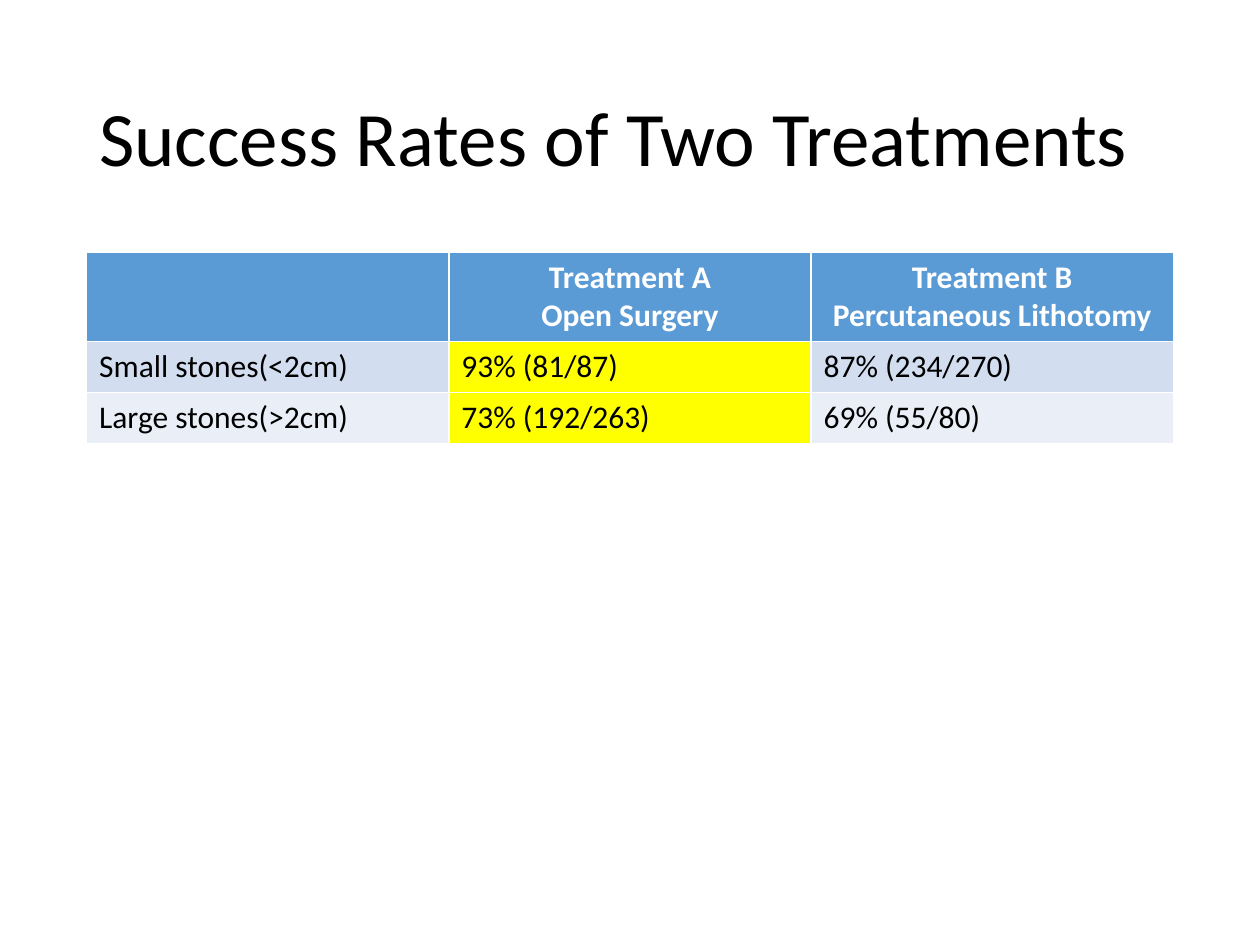
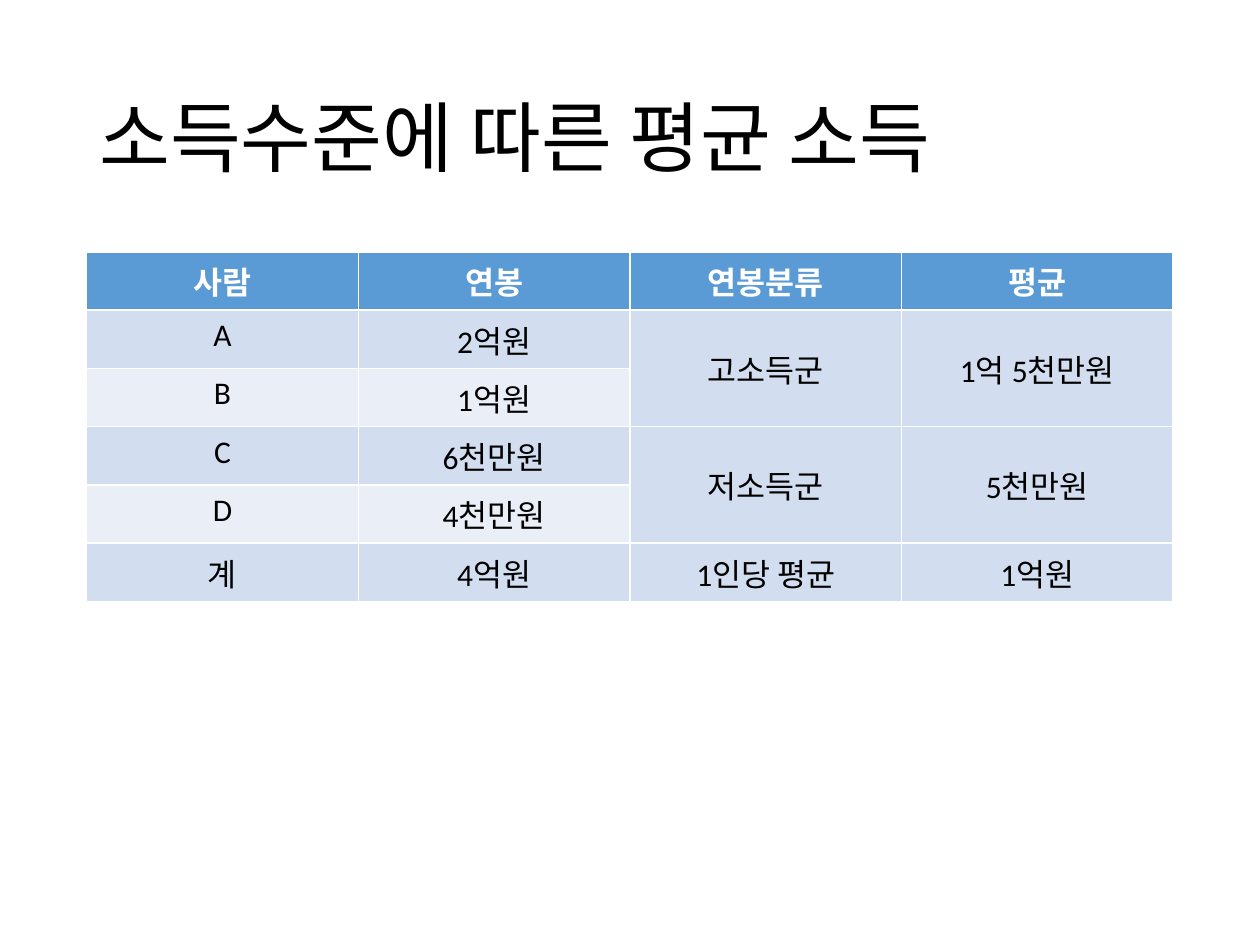
import pptx
import pptx.dml.color
import pptx.enum.text
import pptx.util

Pt = pptx.util.Pt
RGBColor = pptx.dml.color.RGBColor
PP_ALIGN = pptx.enum.text.PP_ALIGN
MSO_ANCHOR = pptx.enum.text.MSO_ANCHOR

# Shared style
FONT = "Calibri"
BLACK = RGBColor(0x00, 0x00, 0x00)
WHITE = RGBColor(0xFF, 0xFF, 0xFF)
HEADER = RGBColor(0x5B, 0x9B, 0xD5)
BAND_DARK = RGBColor(0xD2, 0xDE, 0xEF)
BAND_LIGHT = RGBColor(0xEA, 0xEF, 0xF7)
HIGHLIGHT = RGBColor(0xFF, 0xFF, 0x00)
LEFT, WIDTH = 49.5, 621
TITLE_TOP, TITLE_HEIGHT = 28.75, 104.4
TABLE_TOP, ROW_HEIGHT = 144, 29.2


class Deck:
    def __init__(self):
        self.prs = pptx.Presentation()
        self.prs.slide_width, self.prs.slide_height = Pt(720), Pt(540)
        self.s = None

    def add_text(self, p, text, size, color, bold=False):
        r = p.add_run()
        r.text = text
        r.font.name = FONT
        r.font.size = Pt(size)
        r.font.bold = bold
        r.font.color.rgb = color

    def slide(self, title):
        self.s = self.prs.slides.add_slide(self.prs.slide_layouts[5])
        sp = self.s.shapes.title
        sp.left, sp.top = Pt(LEFT), Pt(TITLE_TOP)
        sp.width, sp.height = Pt(WIDTH), Pt(TITLE_HEIGHT)
        tf = sp.text_frame
        tf.word_wrap = True
        tf.auto_size = pptx.enum.text.MSO_AUTO_SIZE.NONE
        tf.vertical_anchor = MSO_ANCHOR.MIDDLE
        p = tf.paragraphs[0]
        p.alignment = PP_ALIGN.LEFT
        p.line_spacing = 0.9
        self.add_text(p, title, 44, BLACK)

    def table(self, rows, align, highlight=(), middle=()):
        """Fill a table; None joins a cell to the one above it."""
        n_rows, n_cols = len(rows), len(rows[0])
        table = self.s.shapes.add_table(
            n_rows, n_cols, Pt(LEFT), Pt(TABLE_TOP),
            Pt(WIDTH), Pt(n_rows * ROW_HEIGHT)).table
        for i, row in enumerate(rows):
            band = BAND_DARK if i % 2 else BAND_LIGHT
            for j, text in enumerate(row):
                cell = table.cell(i, j)
                if text is None:
                    table.cell(i - 1, j).merge(cell)
                    continue
                cell.fill.solid()
                if i == 0:
                    cell.fill.fore_color.rgb = HEADER
                else:
                    cell.fill.fore_color.rgb = HIGHLIGHT if j in highlight else band
                    if j in middle:
                        cell.vertical_anchor = MSO_ANCHOR.MIDDLE
                self.cell_text(cell, text, PP_ALIGN.CENTER if i == 0 else align, i == 0)

    def cell_text(self, cell, text, align, header):
        tf = cell.text_frame
        for k, line in enumerate(text.split("\n") if text else []):
            p = tf.add_paragraph() if k else tf.paragraphs[0]
            p.alignment = align
            self.add_text(p, line, 18, WHITE if header else BLACK, header)


def main():
    deck = Deck()

    # Treatment success rates
    deck.slide("Success Rates of Two Treatments")
    deck.table([
        ["", "Treatment A\nOpen Surgery", "Treatment B\nPercutaneous Lithotomy"],
        ["Small stones(<2cm)", "93% (81/87)", "87% (234/270)"],
        ["Large stones(>2cm)", "73% (192/263)", "69% (55/80)"],
    ], PP_ALIGN.LEFT, highlight=(1,))

    # Average income by income level
    deck.slide("소득수준에 따른 평균 소득")
    deck.table([
        ["사람", "연봉", "연봉분류", "평균"],
        ["A", "2억원", "고소득군", "1억 5천만원"],
        ["B", "1억원", None, None],
        ["C", "6천만원", "저소득군", "5천만원"],
        ["D", "4천만원", None, None],
        ["계", "4억원", "1인당 평균", "1억원"],
    ], PP_ALIGN.CENTER, middle=(2, 3))

    deck.prs.save("out.pptx")


if __name__ == "__main__":
    main()
